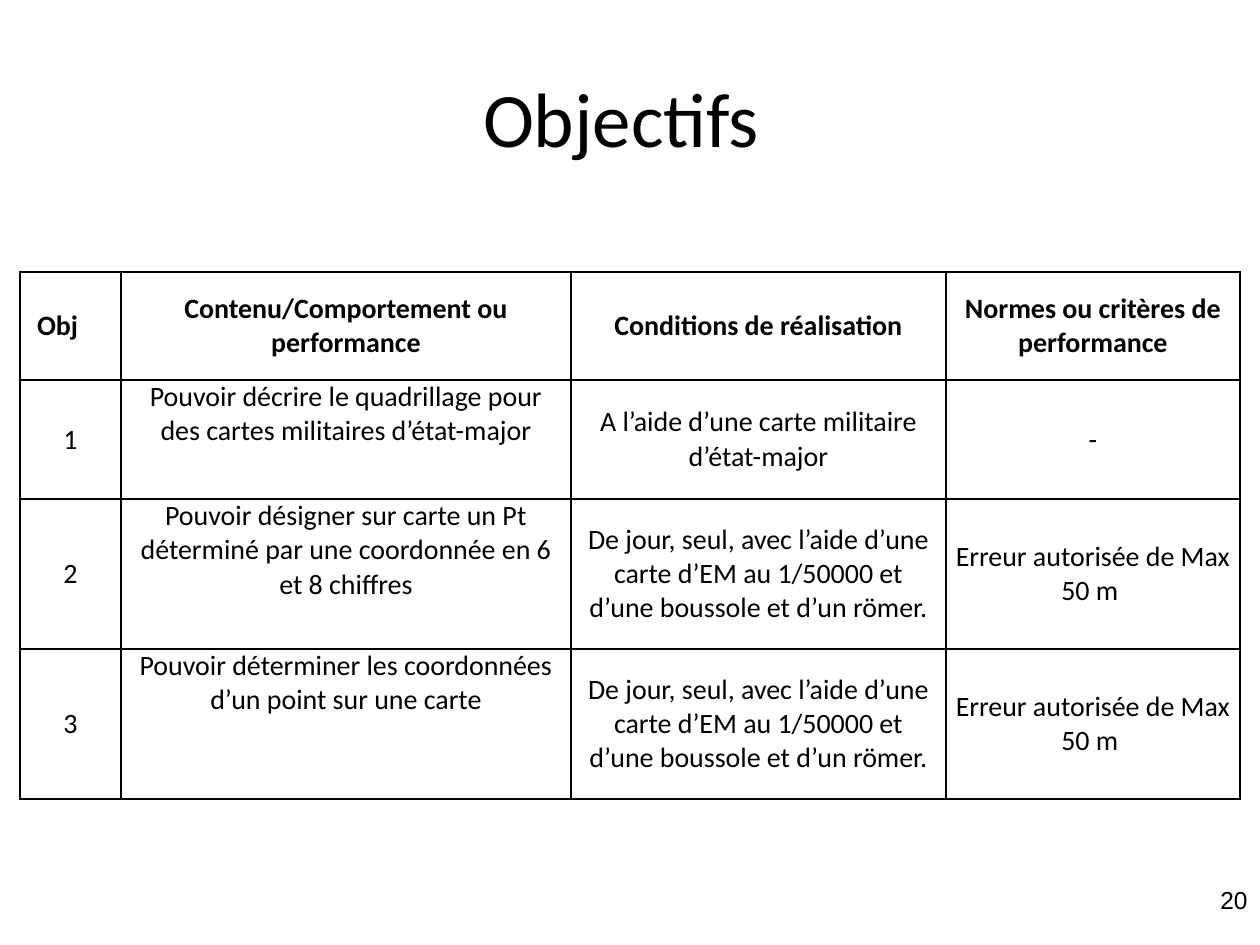
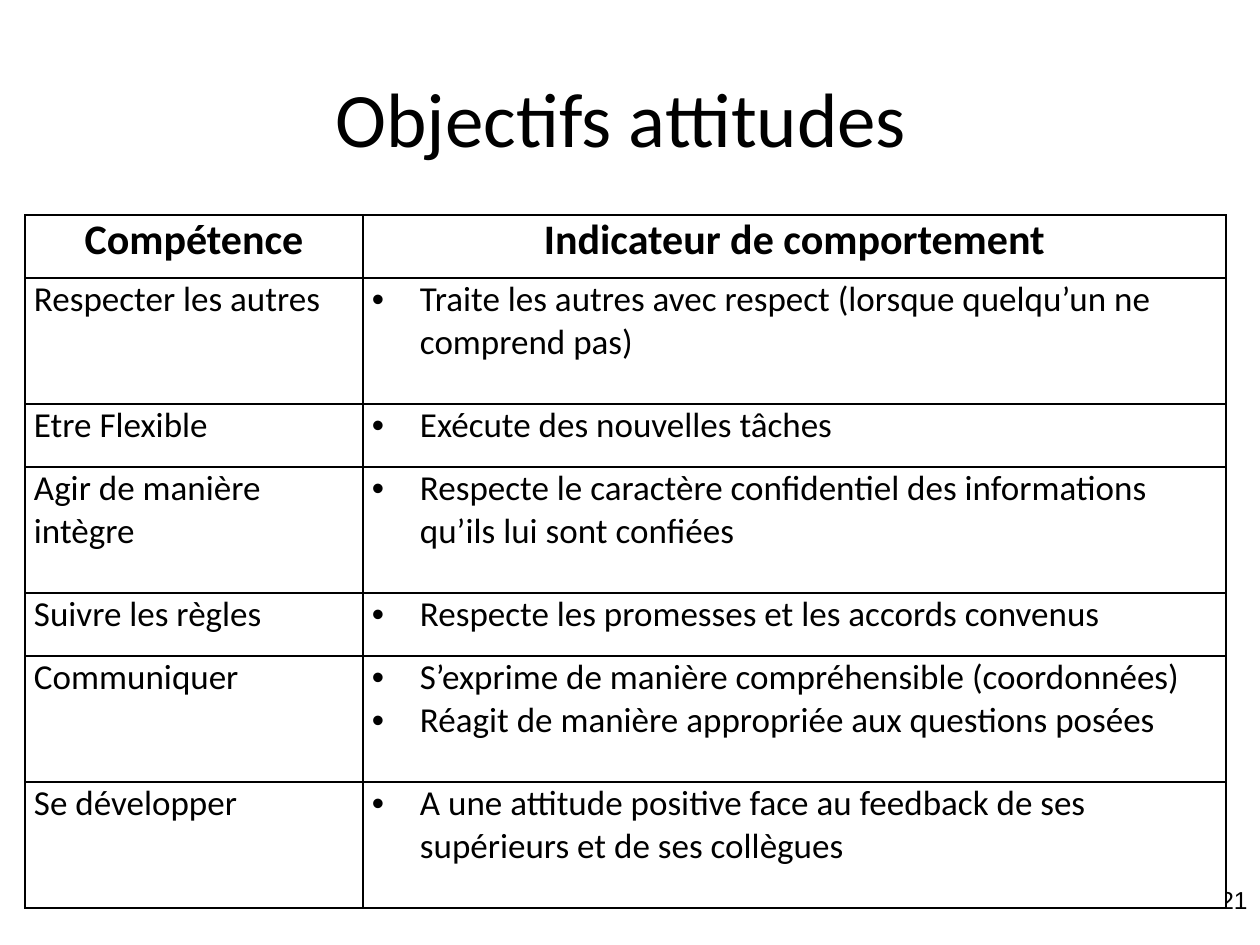
from lxml import etree
from pptx import Presentation
from pptx.dml.color import RGBColor
from pptx.enum.text import MSO_ANCHOR, PP_ALIGN
from pptx.oxml.ns import qn
from pptx.util import Pt

LEFT, CENTER, RIGHT = PP_ALIGN.LEFT, PP_ALIGN.CENTER, PP_ALIGN.RIGHT
TOP, MIDDLE = MSO_ANCHOR.TOP, MSO_ANCHOR.MIDDLE

COLORS = {"text": "000000", "border": "000000", "cell": "FFFFFF"}
BODY_FONT, NUMBER_FONT = "Calibri", "Arial"

PIXELS_PER_INCH = 126
SLIDE_SIZE = (1260, 945)
TITLE_BOX = (63, 38, 1134, 158)
NUMBER_BOX = (966, 879, 294, 66)
CELL_INSET = 9
BULLET_INDENT = 48
BORDER_POINTS = 1

MAP_CONDITIONS = ("De jour, seul, avec l’aide d’une carte d’EM au 1/50000 "
                  "et d’une boussole et d’un römer.")
MAP_NORM = "Erreur autorisée de Max 50 m "

OBJECTIVES = {
    "title": "Objectifs ",
    "number": "20",
    "origin": (20, 272),
    "columns": [101, 450, 375, 294],
    "rows": [108, 119, 150, 150],
    "header_size": 16,
    "body_size": 16,
    "body_align": CENTER,
    "space_before": 6,
    "header_anchor": MIDDLE,
    "body_anchors": [MIDDLE, TOP, MIDDLE, MIDDLE],
    "first_header_inset": 35,
    "cells": [
        ["Obj", "Contenu/Comportement ou performance",
         "Conditions de réalisation", "Normes ou critères de performance"],
        ["1", "Pouvoir décrire le quadrillage pour des cartes militaires d’état-major",
         "A l’aide d’une carte militaire d’état-major", "-"],
        ["2", "Pouvoir désigner sur carte un Pt déterminé par une coordonnée "
              "en 6 et 8 chiffres", MAP_CONDITIONS, MAP_NORM],
        ["3", "Pouvoir déterminer les coordonnées d’un point sur une carte",
         MAP_CONDITIONS, MAP_NORM],
    ],
}

# A list in a cell is shown as bullets.
ATTITUDES = {
    "title": "Objectifs attitudes ",
    "number": "21",
    "origin": (25, 215),
    "columns": [338, 863],
    "rows": [63, 126, 63, 126, 63, 126, 126],
    "header_size": 24,
    "body_size": 20,
    "body_align": LEFT,
    "space_before": 0,
    "header_anchor": TOP,
    "body_anchors": [TOP, TOP],
    "first_header_inset": CELL_INSET,
    "cells": [
        ["Compétence", "Indicateur de comportement"],
        ["Respecter les autres",
         ["Traite les autres avec respect (lorsque quelqu’un ne comprend pas) "]],
        ["Etre Flexible", ["Exécute des nouvelles tâches"]],
        ["Agir de manière intègre",
         ["Respecte le caractère confidentiel des informations "
          "qu’ils lui sont confiées"]],
        ["Suivre les règles", ["Respecte les promesses et les accords convenus"]],
        ["Communiquer",
         ["S’exprime de manière compréhensible (coordonnées)",
          "Réagit de manière appropriée aux questions posées"]],
        ["Se développer",
         ["A une attitude positive face au feedback de ses supérieurs "
          "et de ses collègues"]],
    ],
}


def emu(pixels):
    """Turn pixels into EMU."""
    return round(pixels * 914400 / PIXELS_PER_INCH)


def style_paragraph(paragraph, text, size, align, font=BODY_FONT, bold=False):
    """Fill a paragraph and set its font and alignment."""
    paragraph.text = text
    paragraph.alignment = align
    paragraph.font.name = font
    paragraph.font.size = Pt(size)
    paragraph.font.bold = bold
    paragraph.font.color.rgb = RGBColor.from_string(COLORS["text"])


def add_text(slide, box, text, size, align, font=BODY_FONT, anchor=TOP):
    """Add a wrapping one-paragraph text box."""
    frame = slide.shapes.add_textbox(*map(emu, box)).text_frame
    frame.word_wrap = True
    frame.vertical_anchor = anchor
    style_paragraph(frame.paragraphs[0], text, size, align, font)


def add_bullet(paragraph):
    """Give a paragraph a hanging bullet."""
    properties = paragraph._p.get_or_add_pPr()
    properties.set("marL", str(emu(BULLET_INDENT)))
    properties.set("indent", str(-emu(BULLET_INDENT)))
    bullet = etree.Element(qn("a:buChar"), char="•")
    properties.insert(0, bullet)
    properties.insert(0, etree.Element(qn("a:buFont"), typeface="Arial"))


def add_borders(cell):
    """Draw a solid line on all four sides of a cell."""
    properties = cell._tc.get_or_add_tcPr()
    for index, side in enumerate(("a:lnL", "a:lnR", "a:lnT", "a:lnB")):
        line = etree.Element(qn(side), w=str(Pt(BORDER_POINTS)))
        fill = etree.SubElement(line, qn("a:solidFill"))
        etree.SubElement(fill, qn("a:srgbClr"), val=COLORS["border"])
        properties.insert(index, line)


def fill_cell(cell, content, size, align, anchor, bold, space_before):
    """Write a cell and set its fill, margins and borders."""
    cell.fill.solid()
    cell.fill.fore_color.rgb = RGBColor.from_string(COLORS["cell"])
    cell.margin_left = cell.margin_right = emu(CELL_INSET)
    cell.margin_top = cell.margin_bottom = 0
    cell.vertical_anchor = anchor
    add_borders(cell)
    bulleted = isinstance(content, list)
    for index, text in enumerate(content if bulleted else [content]):
        frame = cell.text_frame
        paragraph = frame.add_paragraph() if index else frame.paragraphs[0]
        if bulleted:
            add_bullet(paragraph)
        style_paragraph(paragraph, text, size, align, bold=bold)
        if space_before:
            paragraph.space_before = Pt(space_before)


def add_grid(slide, content):
    """Add the table of a slide, with a bold header row."""
    columns, rows = content["columns"], content["rows"]
    box = (*content["origin"], sum(columns), sum(rows))
    table = slide.shapes.add_table(len(rows), len(columns), *map(emu, box)).table
    table.first_row = table.horz_banding = False
    for column, width in zip(table.columns, columns):
        column.width = emu(width)
    for row, height in zip(table.rows, rows):
        row.height = emu(height)
    for row_index, row_content in enumerate(content["cells"]):
        header = row_index == 0
        size = content["header_size" if header else "body_size"]
        align = CENTER if header else content["body_align"]
        for column_index, cell_content in enumerate(row_content):
            anchor = (content["header_anchor"] if header
                      else content["body_anchors"][column_index])
            fill_cell(table.cell(row_index, column_index), cell_content, size,
                      align, anchor, header, content["space_before"])
    table.cell(0, 0).margin_right = emu(content["first_header_inset"])


def add_slide(presentation, content):
    """Add a slide with its number, title and table."""
    slide = presentation.slides.add_slide(presentation.slide_layouts[6])
    add_text(slide, NUMBER_BOX, content["number"], 14, RIGHT, NUMBER_FONT)
    add_text(slide, TITLE_BOX, content["title"], 44, CENTER, anchor=MIDDLE)
    add_grid(slide, content)


presentation = Presentation()
presentation.slide_width, presentation.slide_height = map(emu, SLIDE_SIZE)
for slide_content in (OBJECTIVES, ATTITUDES):
    add_slide(presentation, slide_content)
presentation.save("out.pptx")
